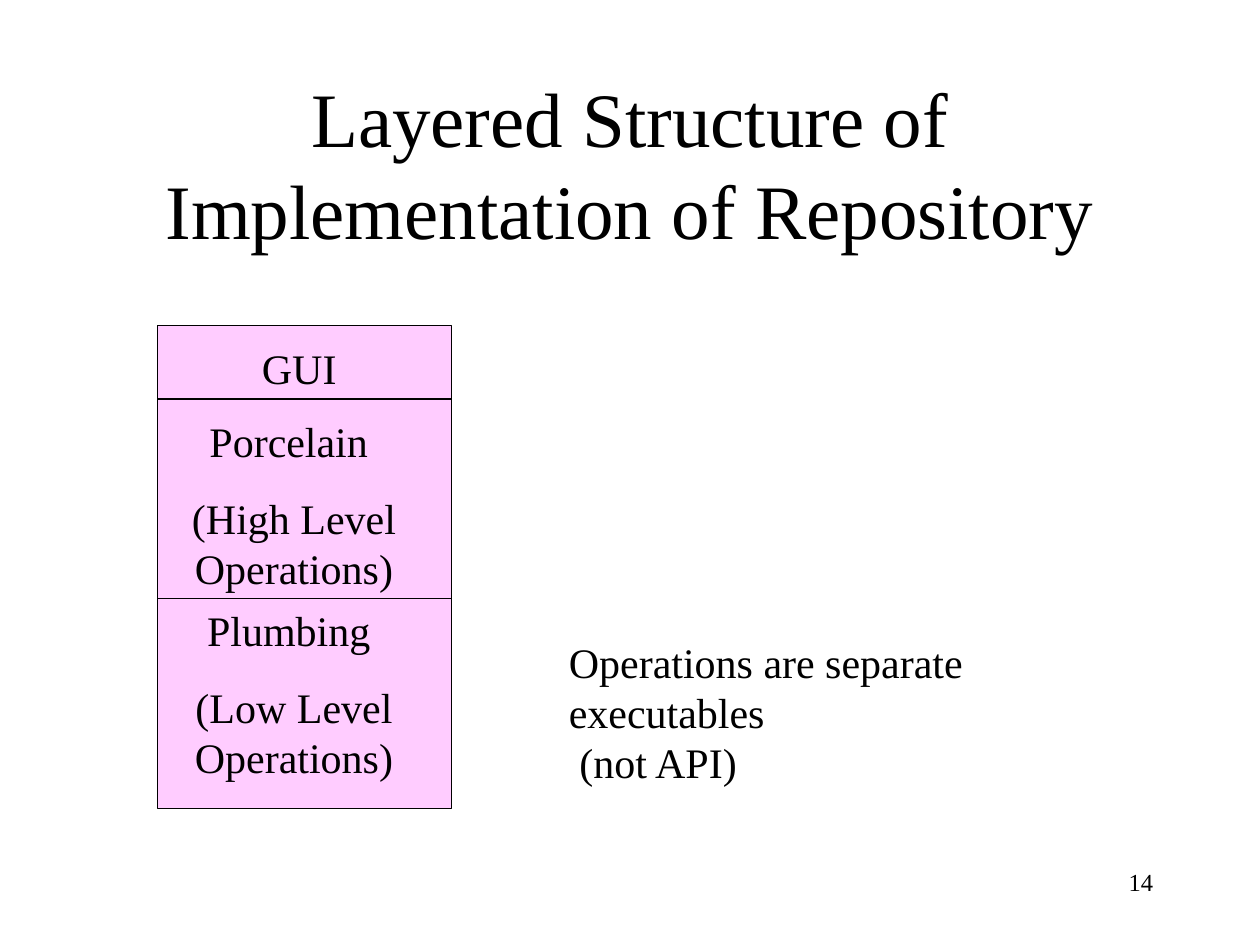
from dataclasses import dataclass

from lxml.etree import SubElement
from pptx import Presentation
from pptx.dml.color import RGBColor
from pptx.enum.shapes import MSO_CONNECTOR, MSO_SHAPE
from pptx.enum.text import MSO_ANCHOR, MSO_AUTO_SIZE, PP_ALIGN
from pptx.oxml.ns import qn
from pptx.util import Pt


@dataclass(frozen=True)
class Theme:
    """Colours, font and type sizes of the slide."""
    ink: RGBColor = RGBColor(0, 0, 0)
    layer: RGBColor = RGBColor(0xFF, 0xCC, 0xFF)
    font: str = "Times New Roman"
    title: int = 44
    body: int = 24
    number: int = 14
    line: float = 0.75


THEME = Theme()
STACK_LEFT, STACK_TOP, STACK_WIDTH, STACK_HEIGHT = 90, 186, 168, 276


def fill_text(frame, lines, size, align, space_before=0):
    """Write one formatted paragraph per line into a text frame."""
    for index, line in enumerate(lines):
        para = frame.paragraphs[0] if index == 0 else frame.add_paragraph()
        para.alignment = align
        para.space_before = Pt(space_before)
        span = para.add_run()
        span.text = line
        span.font.name = THEME.font
        span.font.size = Pt(size)
        span.font.color.rgb = THEME.ink


def set_title(page, text, left, top, width, height):
    """Place and format the title placeholder."""
    title = page.shapes.title
    title.left, title.top = Pt(left), Pt(top)
    title.width, title.height = Pt(width), Pt(height)
    frame = title.text_frame
    frame.auto_size = MSO_AUTO_SIZE.NONE
    frame.vertical_anchor = MSO_ANCHOR.MIDDLE
    fill_text(frame, [text], THEME.title, PP_ALIGN.CENTER)


def add_text(page, lines, bounds, size=THEME.body, align=PP_ALIGN.CENTER,
             space_before=0, wrap=True):
    """Add a text box at the given bounds."""
    box = page.shapes.add_textbox(*map(Pt, bounds))
    box.text_frame.word_wrap = wrap
    fill_text(box.text_frame, lines, size, align, space_before)


def add_stack(page):
    """Add the rectangle that holds all layers."""
    box = page.shapes.add_shape(
        MSO_SHAPE.RECTANGLE, Pt(STACK_LEFT), Pt(STACK_TOP),
        Pt(STACK_WIDTH), Pt(STACK_HEIGHT))
    box.shadow.inherit = False
    box.fill.solid()
    box.fill.fore_color.rgb = THEME.layer
    box.line.color.rgb = THEME.ink
    box.line.width = Pt(THEME.line)


def add_divider(page, top):
    """Draw a line across the stack between two layers."""
    divider = page.shapes.add_connector(
        MSO_CONNECTOR.STRAIGHT, Pt(STACK_LEFT), Pt(top),
        Pt(STACK_LEFT + STACK_WIDTH), Pt(top))
    divider.line.color.rgb = THEME.ink
    divider.line.width = Pt(THEME.line)
    SubElement(divider.element.spPr, qn("a:effectLst"))


def main():
    """Build the slide and save the deck."""
    deck = Presentation()
    deck.slide_width, deck.slide_height = Pt(720), Pt(540)
    page = deck.slides.add_slide(deck.slide_layouts[5])

    set_title(page, "Layered Structure of Implementation of Repository",
              54, 48, 612, 90)
    add_stack(page)
    layers = [
        (["GUI"], (84, 192, 174, 36)),
        (["Porcelain ", "(High Level Operations)"], (72, 234, 192, 108.7)),
        (["Plumbing ", "(Low Level Operations)"], (72, 342, 192, 108.7)),
    ]
    for lines, bounds in layers:
        add_text(page, lines, bounds, space_before=15)
    for top in (342, 228):
        add_divider(page, top)

    add_text(page, ["Operations are separate executables", " (not API)"],
             (318, 360, 357, 64.8), align=PP_ALIGN.LEFT, wrap=False)
    add_text(page, ["14"], (516, 492, 150, 36),
             size=THEME.number, align=PP_ALIGN.RIGHT)
    deck.save("out.pptx")


if __name__ == "__main__":
    main()
